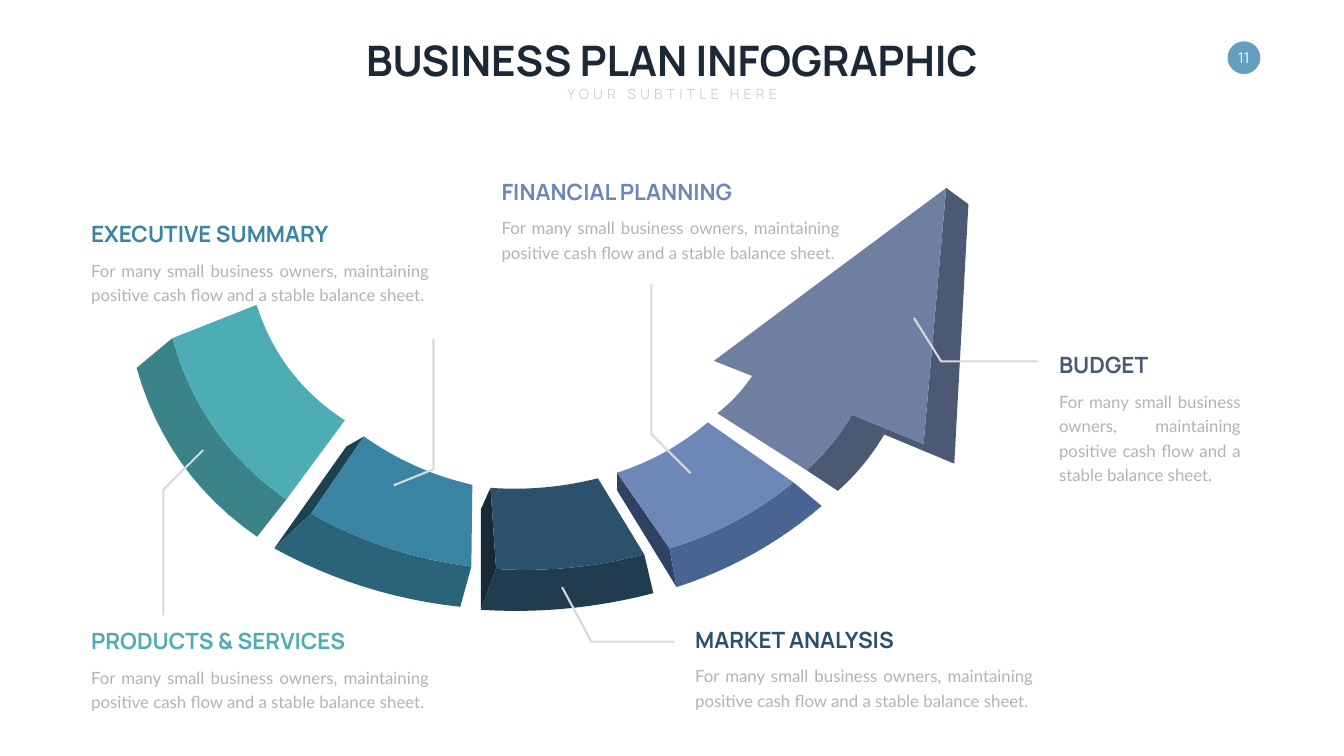
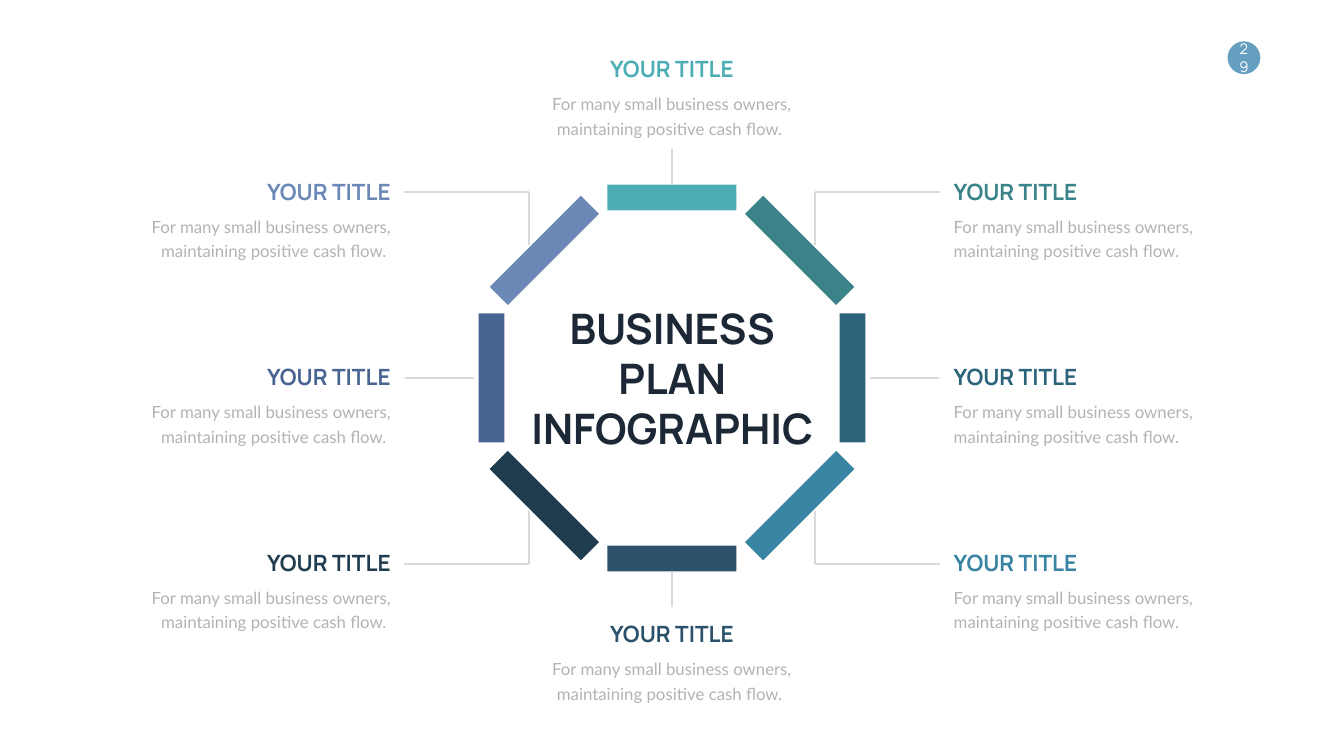
from math import cos, radians, sin

from lxml.etree import SubElement
from pptx import Presentation
from pptx.dml.color import RGBColor
from pptx.enum.shapes import MSO_CONNECTOR, MSO_SHAPE
from pptx.enum.text import MSO_ANCHOR, MSO_AUTO_SIZE, PP_ALIGN
from pptx.oxml.ns import qn
from pptx.util import Cm, Pt

# Shared look; places are counted in inches and become lengths through Cm
INCH = 2.54
HEX = RGBColor.from_string
NAVY, GREY, RULE, PALE, BADGE = "1C2835", "B3B3B3", "D9D9D9", "D1D1D1", "659FC0"
LEFT, MIDDLE, RIGHT = PP_ALIGN.LEFT, PP_ALIGN.CENTER, PP_ALIGN.RIGHT
TITLE = dict(size=60, color=NAVY, bold=True, align=MIDDLE)
HEADING = dict(size=32, bold=True)
BODY = dict(size=24, color=GREY, font="Lato", line_spacing=35, wrap=True)
ARC_STEPS = 12


def add_text(slide, text, left, top, width, height, *, size, color, font="Manrope",
             bold=False, align=LEFT, anchor=MSO_ANCHOR.TOP, wrap=False,
             line_spacing=None, tracking=None, oval=None):
    box = [Cm(INCH * length) for length in (left, top, width, height)]
    if oval:
        shape = slide.shapes.add_shape(MSO_SHAPE.OVAL, *box)
        shape.shadow.inherit = False
        shape.fill.solid()
        shape.fill.fore_color.rgb = HEX(oval)
        shape.line.fill.background()
    else:
        shape = slide.shapes.add_textbox(*box)
    frame = shape.text_frame
    frame.word_wrap = wrap
    frame.auto_size = MSO_AUTO_SIZE.SHAPE_TO_FIT_TEXT
    frame.vertical_anchor = anchor
    paragraph = frame.paragraphs[0]
    paragraph.alignment = align
    if line_spacing:
        paragraph.line_spacing = Pt(line_spacing)
    run = paragraph.add_run()
    run.text = text
    run.font.size = Pt(size)
    run.font.name = font
    run.font.bold = bold
    run.font.color.rgb = HEX(color)
    if tracking:
        run.font._element.set("spc", str(tracking * 100))


def add_outline(slide, points, fill=None):
    start, *others = [(Cm(INCH * x), Cm(INCH * y)) for x, y in points]
    builder = slide.shapes.build_freeform(*start)
    builder.add_line_segments(others, close=fill is not None)
    shape = builder.convert_to_shape()
    shape.shadow.inherit = False
    if fill:
        shape.fill.solid()
        shape.fill.fore_color.rgb = HEX(fill)
        shape.line.fill.background()
    else:
        shape.fill.background()
        shape.line.color.rgb = HEX(RULE)
        shape.line.width = Pt(3)
    return shape


presentation = Presentation()
presentation.slide_width = Cm(INCH * 26.66)
presentation.slide_height = Cm(INCH * 15)
blank = presentation.slide_layouts[6]
arrow_slide = presentation.slides.add_slide(blank)
octagon_slide = presentation.slides.add_slide(blank)

# Page badges
for slide, number in ((arrow_slide, "11"), (octagon_slide, "29")):
    add_text(slide, number, 24.35, 0.82, 0.65, 0.65, size=21, color="FFFFFF",
             align=MIDDLE, anchor=MSO_ANCHOR.MIDDLE, oval=BADGE)

# Slide 1: each segment has a bend, colours of its top, front and side faces,
# the ends of its inner, outer and lower arcs, and the back corner of its side
segments = [
    (0.09, "4DADB5", "398389", None,
     [((5.09, 6.05), (6.84, 8.34)), ((3.42, 6.71), (5.68, 9.91)),
      ((2.71, 7.3), (5.1, 10.65))], None),
    (0.04, "6F7FA1", "4C5974", None,
     [((14.23, 8.2), (14.92, 7.46)), ((16, 9.33), (16.9, 8.23)),
      ((16.62, 9.74), (17.54, 8.62))], None),
    (0.05, "3984A3", "2B637A", "1C4252",
     [((7.22, 8.66), (9.37, 9.62)), ((6.17, 10.19), (9.35, 11.24)),
      ((5.44, 10.88), (9.13, 12.04))], (6.87, 8.86)),
    (0.04, "2B526A", "203D50", "162935",
     [((9.73, 9.68), (11.86, 9.49)), ((9.84, 11.29), (12.78, 11)),
      ((9.54, 12.1), (12.96, 11.77))], (9.54, 10.1)),
    (0.05, "6C88B7", "486492", "304262",
     [((12.24, 9.38), (14.04, 8.38)), ((13.28, 10.88), (15.74, 9.57)),
      ((13.42, 11.65), (16.3, 10.04))], (12.24, 9.73)),
]
barb, tip, heel = (14.16, 7.16), (18.77, 3.73), (18.32, 8.81)
far_tip, far_heel = (19.21, 4.05), (18.93, 9.2)
for bend, top_color, front_color, side_color, ends, back in segments:
    arcs = []
    for (x1, y1), (x2, y2) in ends:
        arc = []
        for step in range(ARC_STEPS + 1):
            t = step / ARC_STEPS
            sag = 4 * bend * t * (1 - t)
            arc.append((x1 + (x2 - x1) * t - (y2 - y1) * sag,
                        y1 + (y2 - y1) * t + (x2 - x1) * sag))
        arcs.append(arc)
    inner, outer, lower = arcs
    is_head = top_color == "6F7FA1"
    top_extra = [barb, tip, heel] if is_head else []
    front_extra = [heel, tip, far_tip, far_heel] if is_head else []
    faces = []
    if back:
        faces.append(add_outline(arrow_slide, [inner[0], back, lower[0], outer[0]], side_color))
    faces.append(add_outline(arrow_slide, outer + front_extra + lower[::-1], front_color))
    faces.append(add_outline(arrow_slide, inner + top_extra + outer[::-1], top_color))
    arrow_slide.shapes.add_group_shape(faces)

# Callout lines
for callout in (
    [(13.7, 9.39), (12.92, 8.61), (12.92, 5.64)],
    [(7.81, 9.63), (8.6, 9.31), (8.6, 6.72)],
    [(11.15, 11.65), (11.73, 12.73), (13.37, 12.73)],
    [(18.13, 6.31), (18.67, 7.17), (20.59, 7.17)],
    [(4.03, 8.93), (3.24, 9.72), (3.24, 12.21)],
):
    add_outline(arrow_slide, callout)

# Title and labels
add_text(arrow_slide, "BUSINESS PLAN INFOGRAPHIC", 7.02, 0.64, 12.62, 1.11, **TITLE)
add_text(arrow_slide, "YOUR SUBTITLE HERE", 11.12, 1.64, 4.43, 0.44, size=20,
         color=PALE, align=MIDDLE, tracking=6)
for heading, color, left, top, heading_width, width, height in (
    ("PRODUCTS & SERVICES", "4DADB5", 1.71, 12.4, 5.33, 6.9, 1.03),
    ("EXECUTIVE SUMMARY", "3984A3", 1.71, 4.32, 5.07, 6.9, 1.03),
    ("FINANCIAL PLANNING", "6C88B7", 9.85, 3.48, 5.02, 6.9, 1.03),
    ("MARKET ANALYSIS", "2B526A", 13.69, 12.37, 4.35, 6.9, 1.03),
    ("BUDGET", "4C5974", 20.91, 6.92, 1.99, 3.8, 2.01),
):
    add_text(arrow_slide, heading, left, top, heading_width, 0.64, color=color, **HEADING)
    add_text(arrow_slide, "For many small business owners, maintaining "
             "positive cash flow and a stable balance sheet. ",
             left, top + 0.71, width, height, align=PP_ALIGN.JUSTIFY, **BODY)

# Slide 2: octagon of bars, clockwise from the top
CENTER_X, CENTER_Y, RADIUS = 13.33, 7.5, 3.58
BAR_LENGTH, BAR_WIDTH = 2.56, 0.51
bar_colors = ["4DADB5", "398389", "2B637A", "3984A3", "2B526A", "203D50", "486492", "6C88B7"]
sides = [MIDDLE, LEFT, LEFT, LEFT, MIDDLE, RIGHT, RIGHT, RIGHT]
label_tops = [1.05, 3.48, 7.16, 10.84, 12.26, 10.84, 7.16, 3.48]
label_lefts = {LEFT: (18.82, 18.82), MIDDLE: (11.99, 10.71), RIGHT: (5.17, 2.62)}
bars = []
for index, (color, align, top) in enumerate(zip(bar_colors, sides, label_tops)):
    angle = radians(45 * index)
    bar = octagon_slide.shapes.add_shape(
        MSO_SHAPE.RECTANGLE,
        Cm(INCH * (CENTER_X + RADIUS * sin(angle) - BAR_LENGTH / 2)),
        Cm(INCH * (CENTER_Y - RADIUS * cos(angle) - BAR_WIDTH / 2)),
        Cm(INCH * BAR_LENGTH), Cm(INCH * BAR_WIDTH))
    bar.rotation = 45 * index % 180
    bar.shadow.inherit = False
    bar.fill.solid()
    bar.fill.fore_color.rgb = HEX(color)
    bar.line.fill.background()
    bars.append(bar)
    heading_left, body_left = label_lefts[align]
    add_text(octagon_slide, "YOUR TITLE", heading_left, top, 2.68, 0.64,
             color=color, align=align, **HEADING)
    add_text(octagon_slide, "For many small business owners, maintaining positive cash flow. ",
             body_left, top + 0.68, 5.23, 1.03, align=align, **BODY)

# Leader lines as offsets from the centre, with the bar and side they join
leaders = [(0, -3.84, 0, -4.54, bars[0], 0), (0, 3.84, 0, 4.54, bars[4], 2)]
for side in (-1, 1):
    leaders.append((side * 3.92, 0, side * 5.29, 0, None, None))
    for level in (-3.69, 3.69):
        elbow = side * 2.83
        leaders.append((side * 5.31, level, elbow, level, None, None))
        leaders.append((elbow, level, elbow, level / 1.4, None, None))
for x1, y1, x2, y2, bar, bar_side in leaders:
    connector = octagon_slide.shapes.add_connector(
        MSO_CONNECTOR.STRAIGHT,
        Cm(INCH * (CENTER_X + x1)), Cm(INCH * (CENTER_Y + y1)),
        Cm(INCH * (CENTER_X + x2)), Cm(INCH * (CENTER_Y + y2)))
    connector.line.color.rgb = HEX(RULE)
    connector.line.width = Pt(3)
    SubElement(connector._element.spPr, qn("a:effectLst"))
    if bar is not None:
        connector.begin_connect(bar, bar_side)

# Centre title
add_text(octagon_slide, "BUSINESS PLAN INFOGRAPHIC", 10.24, 5.93, 6.19, 3.13,
         anchor=MSO_ANCHOR.MIDDLE, wrap=True, **TITLE)

presentation.save("out.pptx")
